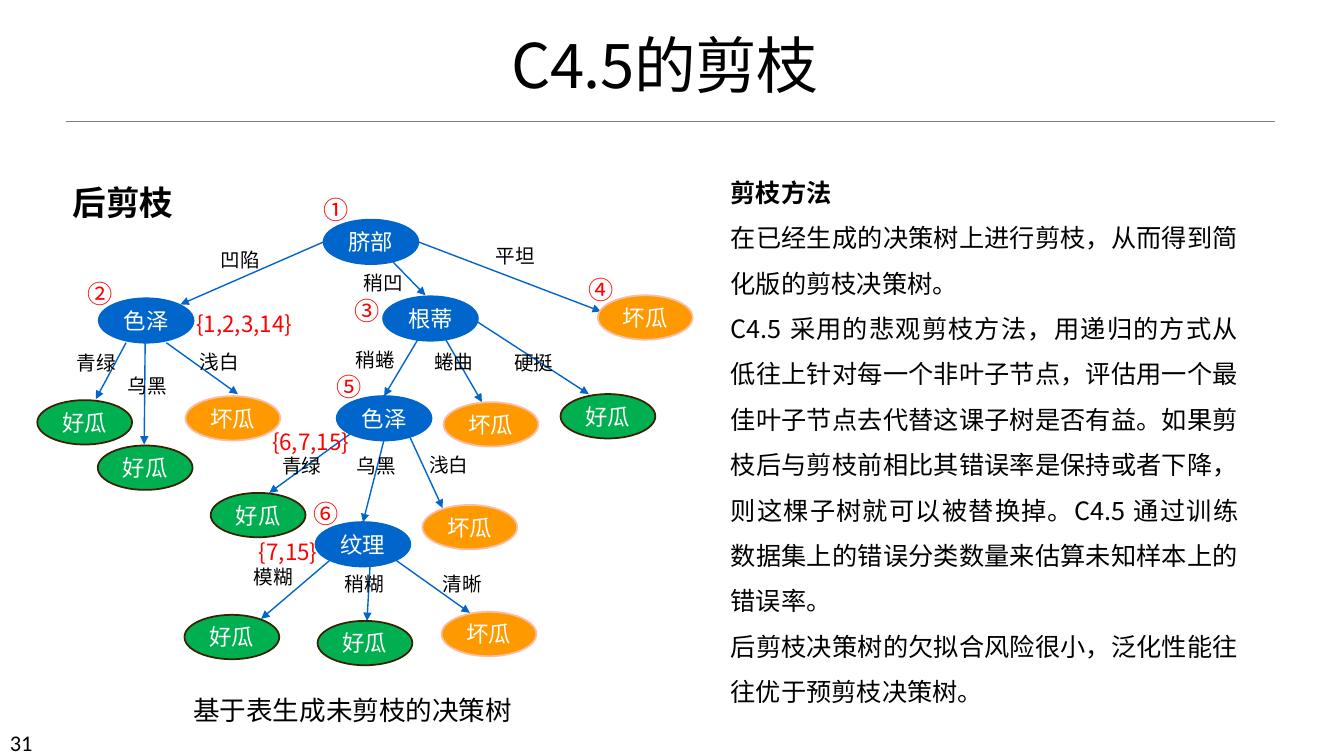
from dataclasses import dataclass

from lxml.etree import SubElement
from pptx import Presentation
from pptx.dml.color import RGBColor
from pptx.enum.shapes import MSO_CONNECTOR, MSO_SHAPE
from pptx.enum.text import MSO_ANCHOR, PP_ALIGN
from pptx.oxml.ns import qn
from pptx.util import Inches, Pt


@dataclass(frozen=True)
class Theme:
    """Hold the colours, fonts and type sizes of the slide."""
    black: str = "000000"
    white: str = "FFFFFF"
    red: str = "FF0000"
    blue: str = "0066CC"
    rule: str = "808080"
    font: str = "Noto Sans CJK SC"
    number_font: str = "Calibri"
    title: int = 44
    heading: int = 24
    caption: int = 19
    body: int = 18
    node: int = 16
    branch: int = 14


@dataclass(frozen=True)
class Box:
    """Describe a region in inches."""
    left: float
    top: float
    width: float
    height: float

    def inside(self, left, top, width, height):
        """Return a box placed relative to this one."""
        return Box(self.left + left, self.top + top, width, height)

    def lengths(self):
        """Return the four measures as lengths."""
        return [Inches(n) for n in (self.left, self.top, self.width, self.height)]


THEME = Theme()
NODE_SIZE = (0.94, 0.44)
NODE_STYLES = {
    "test": (THEME.blue, THEME.blue),
    "好瓜": ("00B050", "392104"),
    "坏瓜": ("FF9900", "FBBCA3"),
}
TESTS = [
    ("脐部", 3.21, 1.18), ("色泽", 0.98, 1.96), ("根蒂", 3.8, 1.94),
    ("色泽", 3.34, 2.93), ("纹理", 3.13, 4.18),
]
LEAVES = [
    ("坏瓜", 5.93, 1.93), ("好瓜", 0.37, 2.97), ("好瓜", 0.97, 3.42),
    ("坏瓜", 1.84, 2.93), ("坏瓜", 4.4, 2.99), ("好瓜", 5.56, 2.91),
    ("好瓜", 2.09, 3.89), ("坏瓜", 4.19, 4.01), ("好瓜", 1.83, 5.1),
    ("好瓜", 3.15, 5.16), ("坏瓜", 4.38, 5.07),
]
BRANCHES = [
    ("凹陷", (2.09, 1.41), (3.21, 1.4), (1.79, 2.02)),
    ("稍凹", (3.51, 1.64), (3.52, 1.21), (4.22, 1.93)),
    ("平坦", (4.82, 1.37), (4.15, 1.4), (5.96, 2.09)),
    ("青绿", (0.66, 2.43), (1.25, 2.4), (0.95, 2.96)),
    ("乌黑", (1.17, 2.66), (1.44, 2.4), (1.43, 3.41)),
    ("浅白", (1.88, 2.42), (1.65, 2.4), (2.36, 2.91)),
    ("稍蜷", (3.43, 2.4), (4.37, 1.99), (3.81, 2.93)),
    ("蜷曲", (4.21, 2.42), (4.41, 2.35), (4.78, 2.99)),
    ("硬挺", (5, 2.43), (4.73, 2.19), (5.84, 2.91)),
    ("青绿", (2.7, 3.45), (3.48, 3.3), (2.67, 3.89)),
    ("乌黑", (3.44, 3.45), (3.81, 3.36), (3.6, 4.18)),
    ("浅白", (4.16, 3.44), (4.03, 3.26), (4.39, 4.04)),
    ("模糊", (2.42, 4.56), (3.27, 4.56), (2.59, 5.14)),
    ("稍糊", (3.32, 4.62), (3.67, 4.62), (3.64, 5.16)),
    ("清晰", (4.29, 4.62), (3.93, 4.56), (4.66, 5.08)),
]
STEPS = [
    ("①", 3.11, 0.88), ("②", 0.77, 1.71), ("③", 3.42, 1.88),
    ("④", 5.74, 1.67), ("⑤", 3.24, 2.63), ("⑥", 3.01, 3.89),
]
SAMPLES = [("{1,2,3,14}", 1.85, 2.03), ("{6,7,15}", 2.6, 3.2), ("{7,15}", 2.47, 4.29)]
METHOD = [
    "剪枝方法",
    "在已经生成的决策树上进行剪枝，从而得到简化版的剪枝决策树。",
    "C4.5 采用的悲观剪枝方法，用递归的方式从低往上针对每一个非叶子节点，"
    "评估用一个最佳叶子节点去代替这课子树是否有益。如果剪枝后与剪枝前相比"
    "其错误率是保持或者下降，则这棵子树就可以被替换掉。C4.5 通过训练数据集上的"
    "错误分类数量来估算未知样本上的错误率。",
    "后剪枝决策树的欠拟合风险很小，泛化性能往往优于预剪枝决策树。",
]


def style_paragraph(para, size, color, bold=False, font=THEME.font, align=PP_ALIGN.LEFT, spacing=None):
    """Format a paragraph and its runs, for Latin and East Asian text."""
    para.alignment = align
    if spacing:
        para.line_spacing = spacing
    for span in para.runs:
        span.font.size = Pt(size)
        span.font.bold = bold
        span.font.name = font
        span.font.color.rgb = RGBColor.from_string(color)
        SubElement(span.font._element, qn("a:ea"), typeface=font)


def add_text(page, box, text, size, color=THEME.black, **style):
    """Add a wrapping text box and return its frame."""
    frame = page.shapes.add_textbox(*box.lengths()).text_frame
    frame.word_wrap = True
    frame.text = text
    for para in frame.paragraphs:
        style_paragraph(para, size, color, **style)
    return frame


def add_line(page, box, start, end, color, width, arrow=False):
    """Draw a straight line between two points of a box."""
    points = [Inches(n) for x, y in (start, end) for n in (box.left + x, box.top + y)]
    line = page.shapes.add_connector(MSO_CONNECTOR.STRAIGHT, *points)
    line.line.color.rgb = RGBColor.from_string(color)
    line.line.width = Pt(width)
    if arrow:
        SubElement(line.line._get_or_add_ln(), qn("a:tailEnd"), type="triangle")
    SubElement(line._element.spPr, qn("a:effectLst"))


def add_node(page, box, text, kind):
    """Draw one oval tree node."""
    fill, outline = NODE_STYLES[kind]
    node = page.shapes.add_shape(MSO_SHAPE.OVAL, *box.lengths())
    node.shadow.inherit = False
    node.fill.solid()
    node.fill.fore_color.rgb = RGBColor.from_string(fill)
    node.line.color.rgb = RGBColor.from_string(outline)
    node.line.width = Pt(1.25)
    frame = node.text_frame
    frame.margin_left = frame.margin_right = frame.margin_top = frame.margin_bottom = 0
    frame.vertical_anchor = MSO_ANCHOR.MIDDLE
    frame.text = text
    style_paragraph(frame.paragraphs[0], THEME.node, THEME.white, align=PP_ALIGN.CENTER)


def add_header(page, box):
    """Place the slide title and the rule below it."""
    frame = add_text(page, box, "C4.5的剪枝", THEME.title, align=PP_ALIGN.CENTER, spacing=0.85)
    frame.vertical_anchor = MSO_ANCHOR.BOTTOM
    for span in frame.paragraphs[0].runs:
        span.font._element.set("spc", "-50")
    add_line(page, box, (0.27, 0.96), (12.27, 0.96), THEME.rule, 0.5)


def add_tree(page, box):
    """Place the decision tree with its heading and caption."""
    for _, _, start, end in BRANCHES:
        add_line(page, box, start, end, THEME.blue, 1, arrow=True)
    for text, left, top in TESTS:
        add_node(page, box.inside(left, top, *NODE_SIZE), text, "test")
    for text, left, top in LEAVES:
        add_node(page, box.inside(left, top, *NODE_SIZE), text, text)
    for text, place, _, _ in BRANCHES:
        add_text(page, box.inside(*place, 0.7, 0.34), text, THEME.branch)
    for text, left, top in STEPS:
        add_text(page, box.inside(left, top, 0.7, 0.4), text, THEME.body, THEME.red)
    for text, left, top in SAMPLES:
        add_text(page, box.inside(left, top, 1.92, 0.37), text, THEME.node, THEME.red)
    add_text(page, box.inside(0.62, 0.56, 1.25, 0.61), "后剪枝", THEME.heading, bold=True, spacing=1.5)
    add_text(page, box.inside(1.82, 5.83, 3.64, 0.42), "基于表生成未剪枝的决策树", THEME.caption)


def add_method(page, box):
    """Place the explanation of the pruning method."""
    frame = add_text(page, box, "\n".join(METHOD), THEME.body, align=PP_ALIGN.JUSTIFY, spacing=1.5)
    frame.paragraphs[0].runs[0].font.bold = True


def main():
    """Build and save the deck."""
    deck = Presentation()
    deck.slide_width, deck.slide_height = Inches(13.33), Inches(7.5)
    page = deck.slides.add_slide(deck.slide_layouts[6])
    add_header(page, Box(0.38, 0.24, 12.43, 0.81))
    add_tree(page, Box(0, 1, 7, 6.25))
    add_method(page, Box(7.15, 1.56, 5.23, 5.48))
    add_text(page, Box(0, 7.18, 1.17, 0.3), "31", THEME.node, font=THEME.number_font)
    deck.save("out.pptx")


if __name__ == "__main__":
    main()
